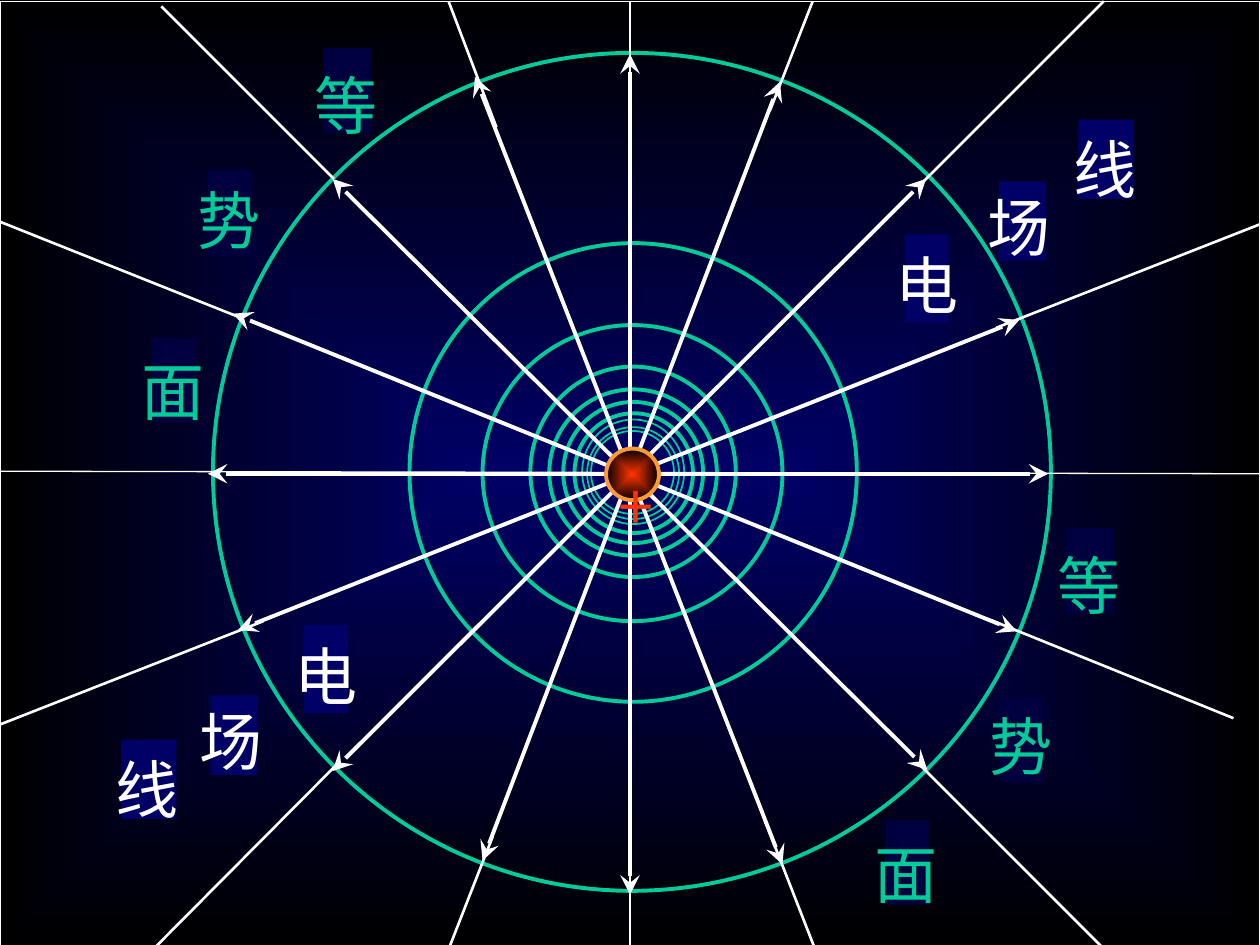
"""Build a slide of the field lines and equipotential surfaces of a point charge."""
from pptx import Presentation
from pptx.dml.color import RGBColor as RGB
from pptx.enum.shapes import MSO_CONNECTOR as LINK, MSO_SHAPE as FORM
from pptx.enum.text import MSO_ANCHOR as ANCHOR, PP_ALIGN as ALIGN
from pptx.oxml import parse_xml
from pptx.oxml.ns import qn
from pptx.util import Inches, Pt

COLORS = {
    "white": "FFFFFF", "black": "000000", "navy": "000066", "dusk": "00003E",
    "green": "00CC99", "red": "FF3300", "orange": "FF9933",
}
FONT = "Noto Sans CJK SC"
NS = 'xmlns:a="http://schemas.openxmlformats.org/drawingml/2006/main"'

deck = Presentation()
deck.slide_width, deck.slide_height = Inches(10), Inches(7.5)
slide = deck.slides.add_slide(deck.slide_layouts[6])


def add_form(form, box, fill=None, line=None, width=0.75, fade=False):
    """Draw a preset shape, plain or fading to black from its centre."""
    shape = slide.shapes.add_shape(form, *map(Inches, box))
    shape.shadow.inherit = False
    if fade:
        shape.fill.gradient()
        old = shape._element.spPr.find(qn("a:gradFill"))
        new = parse_xml(
            f'<a:gradFill {NS} rotWithShape="1"><a:gsLst>'
            f'<a:gs pos="0"><a:srgbClr val="{COLORS[fill]}"/></a:gs>'
            f'<a:gs pos="100000"><a:srgbClr val="{COLORS["black"]}"/></a:gs>'
            '</a:gsLst><a:path path="rect"><a:fillToRect l="50000" t="50000" '
            'r="50000" b="50000"/></a:path></a:gradFill>')
        old.getparent().replace(old, new)
    elif fill:
        shape.fill.solid()
        shape.fill.fore_color.rgb = RGB.from_string(COLORS[fill])
    else:
        shape.fill.background()
    if line:
        shape.line.color.rgb = RGB.from_string(COLORS[line])
        shape.line.width = Pt(width)
    else:
        shape.line.fill.background()


def add_text(text, mid, top, color="white", size=36, width=0.5, height=0.56):
    """Place text centred on mid in an unwrapped box with only a top margin."""
    box = (mid - width / 2, top, width, height)
    frame = slide.shapes.add_textbox(*map(Inches, box)).text_frame
    frame.word_wrap = False
    frame.vertical_anchor = ANCHOR.TOP
    frame.margin_left = frame.margin_right = frame.margin_bottom = 0
    frame.margin_top = Inches(0.05)
    para = frame.paragraphs[0]
    para.alignment = ALIGN.CENTER
    run = para.add_run()
    run.text = text
    run.font.size = Pt(size)
    run.font.name = FONT
    run.font.color.rgb = RGB.from_string(COLORS[color])
    run._r.get_or_add_rPr().append(parse_xml(f'<a:ea {NS} typeface="{FONT}"/>'))


add_form(FORM.RECTANGLE, (0, 0, 10, 7.5), fill="navy", line="black", fade=True)

rings = [
    (1.69, 0.42, 6.65, 6.65), (3.25, 1.93, 3.55, 3.64), (3.83, 2.58, 2.38, 2.35),
    (4.21, 2.91, 1.63, 1.67), (4.36, 3.09, 1.33, 1.32), (4.47, 3.19, 1.11, 1.12),
    (4.56, 3.28, 0.94, 0.95), (4.62, 3.33, 0.81, 0.83), (4.66, 3.39, 0.73, 0.73),
    (4.69, 3.42, 0.66, 0.66),
]
for ring in rings:
    add_form(FORM.OVAL, ring, line="green", width=2.25 if ring[2] > 0.9 else 1)

labels = [
    ("等", "green", "dusk", (0.38, 0.68), (0.18, 0.1), [(2.57, 0.38), (8.46, 4.19)]),
    ("势", "green", "dusk", (0.35, 0.68), (0.17, 0.04), [(1.65, 1.35), (7.93, 5.53)]),
    ("面", "green", "dusk", (0.35, 0.67), (0.17, 0.07), [(1.2, 2.68), (7.02, 6.51)]),
    ("场", "white", "navy", (0.37, 0.63), (0.16, 0.01), [(1.67, 5.52), (7.93, 1.44)]),
    ("电", "white", "navy", (0.35, 0.7), (0.18, 0.05), [(2.41, 4.96), (7.18, 1.86)]),
    ("线", "white", "navy", (0.44, 0.63), (0.21, 0.04), [(0.96, 5.87), (8.56, 0.95)]),
]
for word, color, back, size, (dx, dy), spots in labels:
    for x, y in spots:
        add_form(FORM.RECTANGLE, (x, y, *size), fill=back)
        add_text(word, x + dx, y + dy, color=color)

add_form(FORM.RECTANGLE, (0, 0.01, 10, 7.5), line="white")

arrows = [
    (1.65, 3.76, 8.32, 3.76), (5, 0.43, 5, 7.1), (2.64, 6.12, 7.35, 1.42),
    (7.36, 6.11, 2.64, 1.42), (1.89, 5, 8.09, 2.54), (8.07, 5.01, 1.85, 2.49),
    (6.21, 6.86, 3.77, 0.61), (6.19, 0.65, 3.83, 6.83),
]
axis = [(0, 3.74, 10, 3.76)]
rays = [
    (1.24, 7.51, 2.7, 6.04), (7.91, 2.6, 10, 1.78), (1.93, 2.53, 0, 1.76),
    (8.74, 7.51, 7.31, 6.08), (5, 0.01, 5, 7.51), (3.91, 6.64, 3.57, 7.51),
    (3.94, 1.01, 3.56, 0.01), (2.65, 1.42, 1.28, 0.05), (6.46, 7.51, 6.07, 6.51),
    (9.79, 5.7, 7.86, 4.92), (0, 5.75, 2.09, 4.93), (6.45, 0.01, 6.11, 0.88),
    (7.3, 1.47, 8.76, 0.01),
]
for group, width, ends in [
    (arrows, 2.25, ("headEnd", "tailEnd")), (axis, 0.75, ()), (rays, 1.5, ()),
]:
    for points in group:
        link = slide.shapes.add_connector(LINK.STRAIGHT, *map(Inches, points))
        link.line.color.rgb = RGB.from_string(COLORS["white"])
        link.line.width = Pt(width)
        for end in ends:
            link.line._get_or_add_ln().append(
                parse_xml(f'<a:{end} {NS} type="stealth" w="lg" len="lg"/>'))
        link._element.spPr.append(parse_xml(f"<a:effectLst {NS}/>"))

add_form(FORM.OVAL, (4.81, 3.56, 0.42, 0.41), fill="red", line="orange",
         width=2.25, fade=True)
add_text("+", 5.03, 3.66, color="red", width=0.25, height=0.21)

deck.save("out.pptx")
